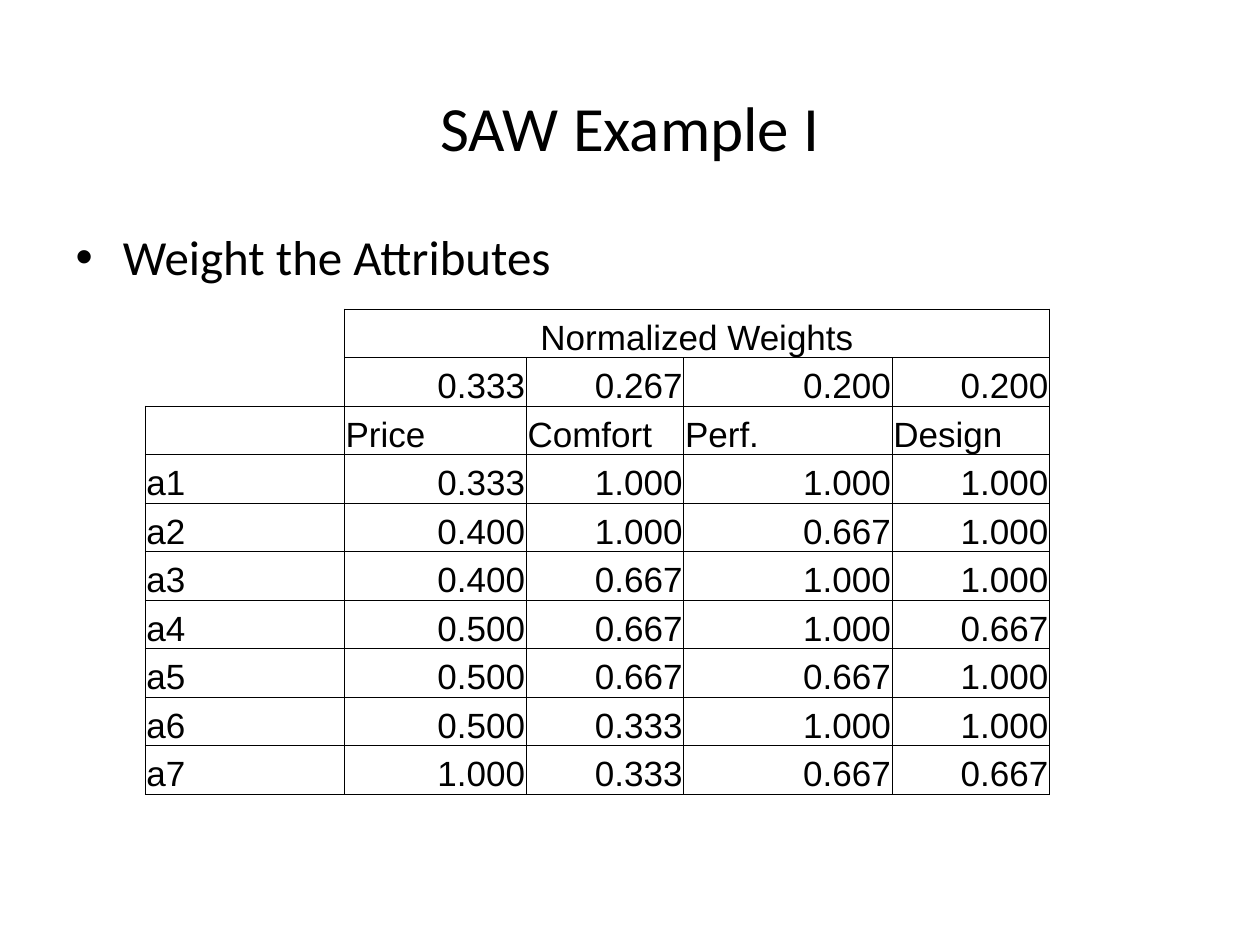
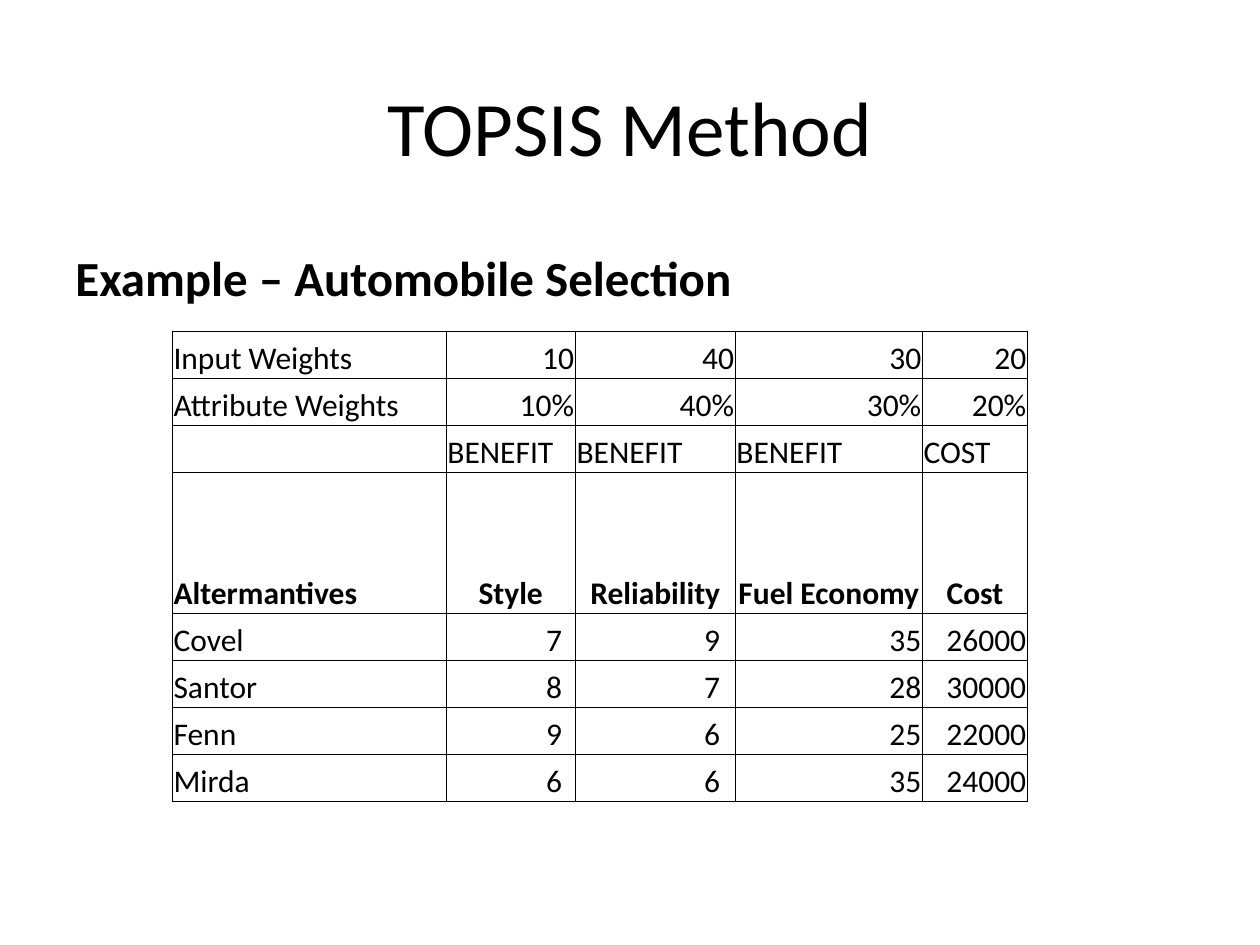
from lxml.etree import SubElement
from pptx import Presentation
from pptx.dml.color import RGBColor
from pptx.enum.text import MSO_ANCHOR as Anchor, PP_ALIGN as Align
from pptx.oxml.ns import qn
from pptx.util import Pt

BLACK = RGBColor(0, 0, 0)
SANS, ARIAL = "Calibri", "Arial"
TITLE_BOX = (36, 27, 648, 90)
PAD = 0.7

SAW = {
    "title": "SAW Example I", "size": 36,
    "lead": "Weight the Attributes",
    "box": (36, 126, 648, 356.5),
    "table": {
        "at": (83, 176.5), "cols": [113.8, 104, 90, 119, 90],
        "rows": [27.75] * 10,
        "font": ARIAL, "size": 20,
        "span": (0, 1, 4), "open": [(0, 0), (1, 0)], "centred": [0],
        "cells": [
            ["", "Normalized Weights", "", "", ""],
            ["", "0.333", "0.267", "0.200", "0.200"],
            ["", "Price", "Comfort", "Perf.", "Design"],
            ["a1", "0.333", "1.000", "1.000", "1.000"],
            ["a2", "0.400", "1.000", "0.667", "1.000"],
            ["a3", "0.400", "0.667", "1.000", "1.000"],
            ["a4", "0.500", "0.667", "1.000", "0.667"],
            ["a5", "0.500", "0.667", "0.667", "1.000"],
            ["a6", "0.500", "0.333", "1.000", "1.000"],
            ["a7", "1.000", "0.333", "0.667", "0.667"],
        ],
    },
}
TOPSIS = {
    "title": "TOPSIS Method", "size": 44,
    "lead": "Example – Automobile Selection",
    "box": (36, 138, 538.5, 41),
    "table": {
        "at": (98.5, 189.3), "cols": [156.5, 73.8, 91.4, 107, 60],
        "rows": [26.85] * 3 + [80.55] + [26.85] * 4,
        "font": SANS, "size": 18,
        "centred": [3], "bold": [3],
        "inset": {1: 7.6, 2: 8.7}, "inset_from": 4,
        "cells": [
            ["Input Weights", "10", "40", "30", "20"],
            ["Attribute Weights", "10%", "40%", "30%", "20%"],
            ["", "BENEFIT", "BENEFIT", "BENEFIT", "COST"],
            ["Altermantives", "Style", "Reliability", "Fuel Economy", "Cost"],
            ["Covel", "7", "9", "35", "26000"],
            ["Santor", "8", "7", "28", "30000"],
            ["Fenn", "9", "6", "25", "22000"],
            ["Mirda", "6", "6", "35", "24000"],
        ],
    },
}


def write(frame, text, size, font=SANS, bold=False, align=None):
    para = frame.paragraphs[0]
    para.alignment = align
    run = para.add_run()
    run.text = text
    face = run.font
    face.name, face.size, face.bold = font, Pt(size), bold
    face.color.rgb = BLACK


def place(shape, box):
    shape.left, shape.top, shape.width, shape.height = map(Pt, box)


def rule(cell, drawn):
    """Give the cell its four borders; drawn names the visible sides."""
    props = cell._tc.get_or_add_tcPr()
    for spot, side in enumerate("LRTB"):
        line = SubElement(props, qn(f"a:ln{side}"), w=str(Pt(0.5)))
        if side in drawn:
            fill = SubElement(line, qn("a:solidFill"))
            SubElement(fill, qn("a:srgbClr"), val=str(BLACK))
        else:
            SubElement(line, qn("a:noFill"))
        props.insert(spot, line)


def side_of(text, row, col, data):
    if row in data["centred"] and col:
        return Align.CENTER
    return Align.RIGHT if text[:1].isdigit() else Align.LEFT


def add_grid(slide, data):
    cells, cols, rows = data["cells"], data["cols"], data["rows"]
    box = (*data["at"], sum(cols), sum(rows))
    grid = slide.shapes.add_table(len(rows), len(cols), *map(Pt, box)).table
    grid.first_row = grid.horz_banding = False
    for col, width in zip(grid.columns, cols):
        col.width = Pt(width)
    for row, height in zip(grid.rows, rows):
        row.height = Pt(height)
    hidden = data.get("open", [])
    for r, line in enumerate(cells):
        for c, text in enumerate(line):
            cell = grid.cell(r, c)
            cell.fill.background()
            cell.vertical_anchor = Anchor.BOTTOM
            cell.margin_left = cell.margin_top = cell.margin_right = Pt(PAD)
            cell.margin_bottom = 0
            if r >= data.get("inset_from", len(rows)):
                cell.margin_right = Pt(data["inset"].get(c, PAD))
            if (r, c) not in hidden:
                rule(cell, "LRTB")
            else:
                rule(cell, "R" if (r + 1, c) in hidden else "RB")
            if text:
                write(cell.text_frame, text, data["size"], data["font"],
                      bold=r in data.get("bold", []),
                      align=side_of(text, r, c, data))
    if "span" in data:
        row, first, last = data["span"]
        grid.cell(row, first).merge(grid.cell(row, last))


def add_page(deck, layout, page):
    slide = deck.slides.add_slide(deck.slide_layouts[layout])
    title = slide.shapes.title
    place(title, TITLE_BOX)
    write(title.text_frame, page["title"], page["size"], align=Align.CENTER)
    return slide


def main():
    deck = Presentation()
    deck.slide_width, deck.slide_height = Pt(720), Pt(540)

    slide = add_page(deck, 1, SAW)
    body = slide.placeholders[1]
    place(body, SAW["box"])
    write(body.text_frame, SAW["lead"], 28)
    add_grid(slide, SAW["table"])

    slide = add_page(deck, 5, TOPSIS)
    label = slide.shapes.add_textbox(*map(Pt, TOPSIS["box"]))
    label.text_frame.word_wrap = True
    write(label.text_frame, TOPSIS["lead"], 28, bold=True)
    add_grid(slide, TOPSIS["table"])

    deck.save("out.pptx")


if __name__ == "__main__":
    main()
